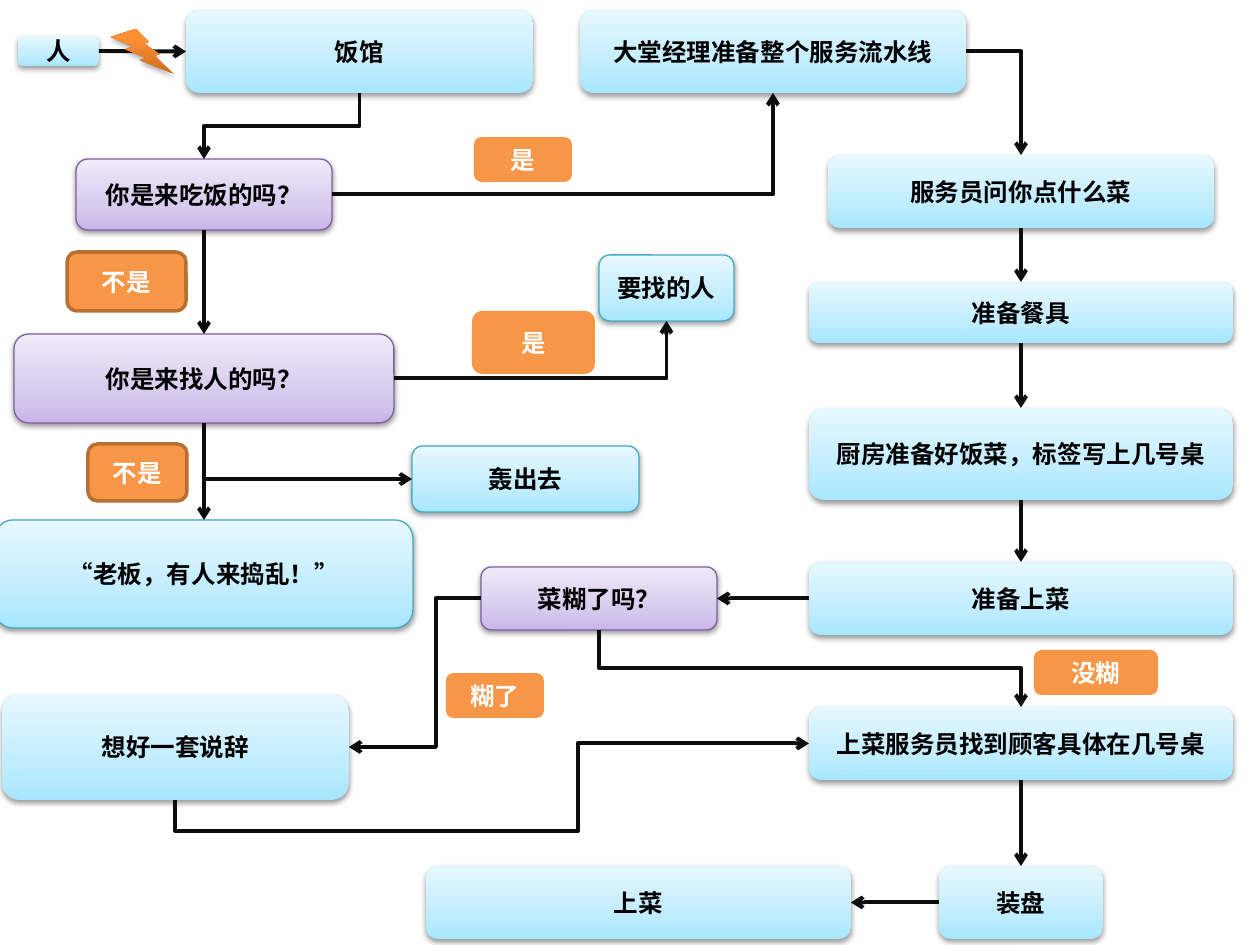
from dataclasses import dataclass

from lxml import etree
from pptx import Presentation
from pptx.dml.color import RGBColor
from pptx.enum.shapes import MSO_CONNECTOR, MSO_SHAPE
from pptx.enum.text import MSO_ANCHOR, PP_ALIGN
from pptx.oxml.ns import qn
from pptx.util import Pt

PX = 914400 // 126
ROUNDED, BOLT = MSO_SHAPE.ROUNDED_RECTANGLE, MSO_SHAPE.LIGHTNING_BOLT
STRAIGHT, ELBOW = MSO_CONNECTOR.STRAIGHT, MSO_CONNECTOR.ELBOW
MIDDLE, CENTER = MSO_ANCHOR.MIDDLE, PP_ALIGN.CENTER
TOP, LEFT, BOTTOM, RIGHT = range(4)


@dataclass(frozen=True)
class Look:
    """Fill, outline, text colour and shadow of one kind of shape."""

    fill: tuple
    outline: str = ""
    outline_pt: float = 0.75
    ink: str = "000000"
    shadow: tuple = ()


@dataclass(frozen=True)
class Theme:
    """Colours and type sizes of the flowchart."""

    font: str = "DejaVu Sans Mono"
    yes_font: str = "Calibri"
    size: int = 14
    arrow: str = "0D0D0D"
    arrow_pt: float = 2.25
    sky: tuple = ((0, "A7E6FF"), (35, "C1EDFF"), (100, "E7F8FF"))
    lilac: tuple = ((0, "C9B5E8"), (35, "D8CBEE"), (100, "F0EAF9"))
    flame: tuple = ((0, "CC6E20"), (80, "FF9034"), (100, "FF9136"))
    orange: tuple = ((0, "F79646"),)
    soft: tuple = (20000, 38)
    deep: tuple = (23000, 35)


THEME = Theme()
STEP = Look(THEME.sky, shadow=THEME.soft)
OUTCOME = Look(THEME.sky, "46AAC5", shadow=THEME.soft)
QUESTION = Look(THEME.lilac, "7D60A0", shadow=THEME.soft)
ANSWER = Look(THEME.orange, ink="FFFFFF")
REFUSAL = Look(THEME.orange, "B76F34", 2, "FFFFFF")
FLASH = Look(THEME.flame, shadow=THEME.deep)


def add_child(parent, tag, **attributes):
    """Append a DrawingML element with the given attributes."""
    child = etree.SubElement(parent, qn(tag))
    for key, value in attributes.items():
        child.set(key, str(value))
    return child


def add_color(parent, color, **attributes):
    """Append an RGB colour element."""
    return add_child(parent, "a:srgbClr", val=color, **attributes)


def paint(shape, look):
    """Give a shape its fill, outline and shadow."""
    if len(look.fill) == 1:
        shape.fill.solid()
        shape.fill.fore_color.rgb = RGBColor.from_string(look.fill[0][1])
    else:
        shape.fill.gradient()
        shape.fill.gradient_angle = 90
        stops = shape._element.spPr.find(".//" + qn("a:gsLst"))
        for stop in list(stops):
            stops.remove(stop)
        for position, color in look.fill:
            add_color(add_child(stops, "a:gs", pos=position * 1000), color)
    if look.outline:
        shape.line.color.rgb = RGBColor.from_string(look.outline)
        shape.line.width = Pt(look.outline_pt)
    else:
        shape.line.fill.background()
    shape.shadow.inherit = False
    if look.shadow:
        distance, opacity = look.shadow
        effects = shape._element.spPr.find(qn("a:effectLst"))
        outer = add_child(effects, "a:outerShdw", blurRad=40000, dist=distance,
                          dir=5400000, rotWithShape=0)
        add_child(add_color(outer, "000000"), "a:alpha", val=opacity * 1000)


def add_node(slide, box, place, look, words="", font=THEME.font, kind=ROUNDED):
    """Place a shape with centred words relative to the region box."""
    left, top, width, height = place
    shape = slide.shapes.add_shape(kind, (box[0] + left) * PX, (box[1] + top) * PX,
                                   width * PX, height * PX)
    paint(shape, look)
    if words:
        frame = shape.text_frame
        frame.word_wrap = True
        frame.vertical_anchor = MIDDLE
        paragraph = frame.paragraphs[0]
        paragraph.alignment = CENTER
        run = paragraph.add_run()
        run.text = words
        run.font.name, run.font.size, run.font.bold = font, Pt(THEME.size), True
        run.font.color.rgb = RGBColor.from_string(look.ink)
    return shape


def site_point(node, site):
    """Return the point of a connection site on a node."""
    across = {LEFT: 0, RIGHT: node.width}.get(site, node.width // 2)
    down = {TOP: 0, BOTTOM: node.height}.get(site, node.height // 2)
    return node.left + across, node.top + down


def bend(connector, start, end, vertical, turns):
    """Shape a connector into right angles that turn at the given px positions."""
    axes = (1, 0) if vertical else (0, 1)
    spans = [end[axis] - start[axis] for axis in axes]
    signs = (spans[0], -spans[1] if vertical else spans[1])
    width, height = abs(spans[0]), abs(spans[1])
    connector.left = (start[0] + end[0] - width) // 2
    connector.top = (start[1] + end[1] - height) // 2
    connector.width, connector.height = width, height
    properties = connector._element.spPr
    frame = properties.find(qn("a:xfrm"))
    frame.set("rot", "5400000" if vertical else "0")
    for key, sign in zip(("flipH", "flipV"), signs):
        frame.set(key, str(int(sign < 0)))
    geometry = properties.find(qn("a:prstGeom"))
    geometry.set("prst", f"bentConnector{len(turns) + 2}")
    guides = geometry.find(qn("a:avLst"))
    for number, (turn, axis, span) in enumerate(zip(turns, axes, spans), 1):
        ratio = round((turn * PX - start[axis]) / span * 100000)
        add_child(guides, "a:gd", name=f"adj{number}", fmla=f"val {ratio}")


def link(slide, source, exit_site, target, entry_site, turns=None):
    """Join two nodes by an arrow, straight unless turns are given."""
    start, end = site_point(source, exit_site), site_point(target, entry_site)
    connector = slide.shapes.add_connector(STRAIGHT if turns is None else ELBOW,
                                           *start, *end)
    connector.begin_connect(source, exit_site)
    connector.end_connect(target, entry_site)
    if turns is not None:
        bend(connector, start, end, exit_site in (TOP, BOTTOM), turns)
    connector.line.color.rgb = RGBColor.from_string(THEME.arrow)
    connector.line.width = Pt(THEME.arrow_pt)
    add_child(connector.line._get_or_add_ln(), "a:tailEnd", type="arrow")
    add_child(connector._element.spPr, "a:effectLst")


def add_arrival(slide, box):
    """Draw the guest's arrival and questions; return the dining question."""
    guest = add_node(slide, box, (18, 36, 81, 30), STEP, "人")
    restaurant = add_node(slide, box, (186, 10, 347, 83), STEP, "饭馆")
    dining = add_node(slide, box, (76, 159, 256, 71), QUESTION, "你是来吃饭的吗？")
    visiting = add_node(slide, box, (14, 334, 380, 89), QUESTION, "你是来找人的吗？")
    trouble = add_node(slide, box, (-5, 520, 418, 108), OUTCOME, "“老板，有人来捣乱！”")
    expelled = add_node(slide, box, (412, 446, 227, 66), OUTCOME, "轰出去")
    friend = add_node(slide, box, (599, 255, 135, 66), OUTCOME, "要找的人")
    add_node(slide, box, (67, 252, 119, 59), REFUSAL, "不是")
    add_node(slide, box, (88, 444, 99, 57), REFUSAL, "不是")
    add_node(slide, box, (474, 137, 98, 45), ANSWER, "是")
    add_node(slide, box, (472, 311, 123, 63), ANSWER, "是", THEME.yes_font)
    link(slide, guest, RIGHT, restaurant, LEFT)
    add_node(slide, box, (111, 29, 63, 45), FLASH, kind=BOLT)
    link(slide, restaurant, BOTTOM, dining, TOP, [box[1] + 126])
    link(slide, dining, BOTTOM, visiting, TOP)
    link(slide, visiting, BOTTOM, trouble, TOP)
    link(slide, visiting, RIGHT, friend, BOTTOM, [])
    link(slide, visiting, BOTTOM, expelled, LEFT, [])
    return dining


def add_kitchen(slide, box):
    """Draw the preparation line; return its first and last steps."""
    width = box[2]
    manager = add_node(slide, box, (0, 0, 386, 83), STEP, "大堂经理准备整个服务流水线")
    waiter = add_node(slide, box, (248, 145, 386, 73), STEP, "服务员问你点什么菜")
    stations = [waiter]
    for top, height, words in ((272, 61, "准备餐具"),
                               (398, 92, "厨房准备好饭菜，标签写上几号桌"),
                               (552, 73, "准备上菜")):
        stations.append(add_node(slide, box, (width - 424, top, 424, height), STEP, words))
    link(slide, manager, RIGHT, waiter, TOP, [])
    for upper, lower in zip(stations, stations[1:]):
        link(slide, upper, BOTTOM, lower, TOP)
    return manager, stations[-1]


def add_serving(slide, box):
    """Draw the burnt-dish check and serving; return the check."""
    left, top = box[:2]
    check = add_node(slide, box, (481, 0, 236, 63), QUESTION, "菜糊了吗？")
    excuse = add_node(slide, box, (2, 127, 347, 106), STEP, "想好一套说辞")
    locate = add_node(slide, box, (809, 140, 424, 73), STEP, "上菜服务员找到顾客具体在几号桌")
    plating = add_node(slide, box, (939, 299, 164, 73), STEP, "装盘")
    serve = add_node(slide, box, (426, 299, 425, 73), STEP, "上菜")
    add_node(slide, box, (446, 106, 98, 45), ANSWER, "糊了")
    add_node(slide, box, (1034, 83, 124, 45), ANSWER, "没糊")
    link(slide, check, LEFT, excuse, RIGHT, [left + 436])
    link(slide, check, BOTTOM, locate, TOP, [top + 101])
    link(slide, excuse, BOTTOM, locate, LEFT, [top + 264, left + 578])
    link(slide, locate, BOTTOM, plating, TOP)
    link(slide, plating, LEFT, serve, RIGHT)
    return check


def main():
    """Build the restaurant flowchart."""
    deck = Presentation()
    deck.slide_width, deck.slide_height = 9144000, 6858000
    slide = deck.slides.add_slide(deck.slide_layouts[6])
    dining = add_arrival(slide, (0, 0, 734, 628))
    manager, ready = add_kitchen(slide, (580, 10, 653, 625))
    check = add_serving(slide, (0, 567, 1233, 372))
    link(slide, dining, RIGHT, manager, BOTTOM, [])
    link(slide, ready, LEFT, check, RIGHT)
    deck.save("out.pptx")


if __name__ == "__main__":
    main()
